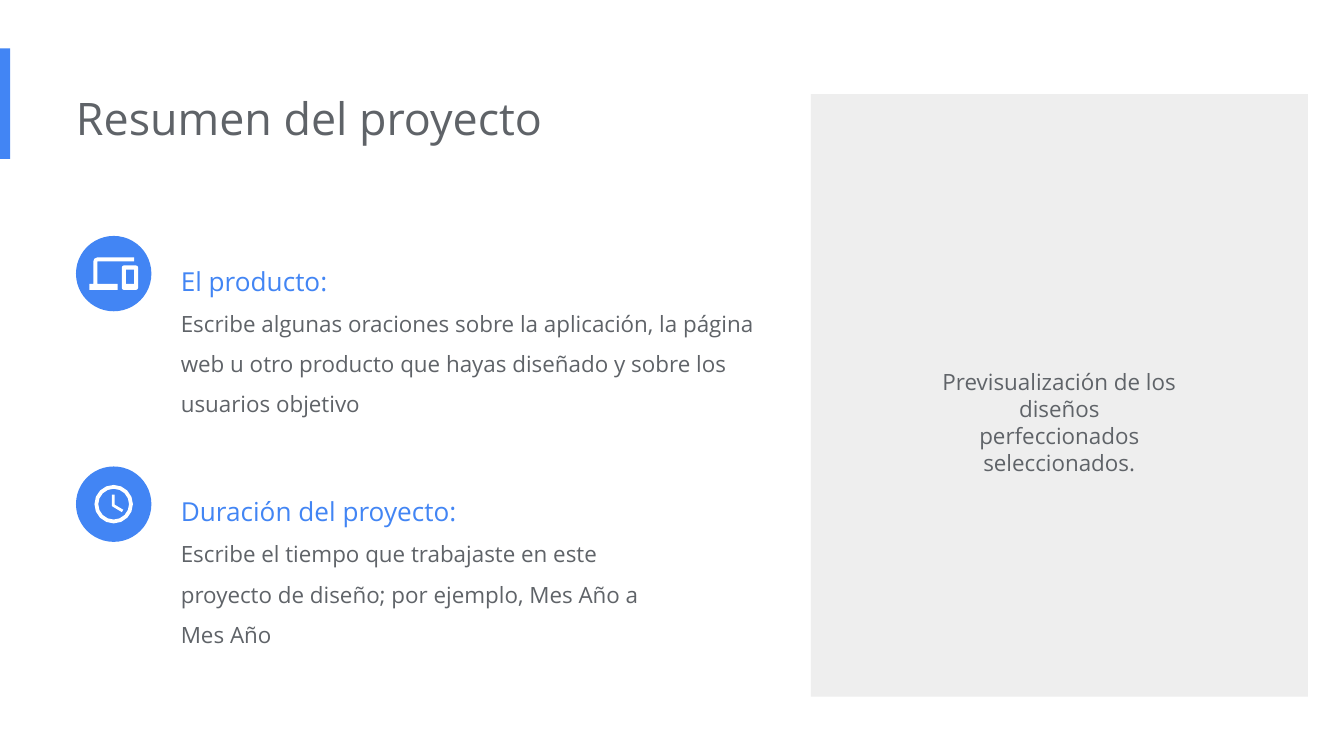
from math import cos, radians, sin

from pptx import Presentation
from pptx.dml.color import RGBColor
from pptx.enum.shapes import MSO_SHAPE
from pptx.enum.text import MSO_ANCHOR, MSO_AUTO_SIZE, PP_ALIGN
from pptx.util import Pt

RECT, OVAL = MSO_SHAPE.RECTANGLE, MSO_SHAPE.OVAL
LEFT, CENTER = PP_ALIGN.LEFT, PP_ALIGN.CENTER
TOP = MSO_ANCHOR.TOP
GROW = MSO_AUTO_SIZE.SHAPE_TO_FIT_TEXT

FONT = "Open Sans"
BLUE, GRAY, PALE, WHITE = "4285F4", "5F6368", "EEEEEE", "FFFFFF"
MARGIN, BADGE, ICON_GRID = 40.7, 40.4, 24


def color(fmt, value):
    """Set a colour format to a hex string."""
    fmt.rgb = RGBColor.from_string(value)


def paint(sp, fill):
    """Give a shape a plain fill without line or shadow."""
    sp.shadow.inherit = False
    sp.fill.solid()
    color(sp.fill.fore_color, fill)
    sp.line.fill.background()


def add_block(s, kind, box, fill):
    """Add a filled preset shape in a box."""
    sp = s.shapes.add_shape(kind, *map(Pt, box))
    paint(sp, fill)


def write(sp, lines, align=LEFT, inset=0, spacing=None):
    """Write (text, size, colour) lines as paragraphs of a shape."""
    tf = sp.text_frame
    tf.word_wrap, tf.auto_size, tf.vertical_anchor = True, GROW, TOP
    tf.margin_left = Pt(inset)
    tf.margin_top = tf.margin_right = tf.margin_bottom = Pt(7.2)
    for i, (text, size, value) in enumerate(lines):
        p = tf.add_paragraph() if i else tf.paragraphs[0]
        p.alignment = align
        p.space_before = Pt(0)
        if spacing:
            p.line_spacing = spacing
        r = p.add_run()
        r.text = text
        r.font.name, r.font.size = FONT, Pt(size)
        color(r.font.color, value)


def ring(radius, steps=16):
    """Return the points of a circle around the middle of the icon grid."""
    mid = ICON_GRID / 2
    angles = [radians(360 * i / steps) for i in range(steps)]
    return [(mid + radius * cos(a), mid + radius * sin(a)) for a in angles]


def devices_outline():
    """Return the contours of a laptop beside a phone on the icon grid."""
    laptop = [(4, 6), (22, 6), (22, 4), (4, 4), (2.6, 4.6), (2, 6), (2, 17),
              (0, 17), (0, 20), (14, 20), (14, 17), (4, 17)]
    phone = [(23, 8), (17, 8), (16.3, 8.3), (16, 9), (16, 19), (16.3, 19.7),
             (17, 20), (23, 20), (23.7, 19.7), (24, 19), (24, 9), (23.7, 8.3)]
    screen = [(22, 17), (18, 17), (18, 10), (22, 10)]
    return [laptop, phone, screen]


def clock_outline():
    """Return the contours of a clock on the icon grid."""
    hands = [(11, 7), (11, 13), (16.25, 16.15), (17, 14.92), (12.5, 12.25), (12.5, 7)]
    return [ring(10), ring(8), hands]


def add_icon(s, box, contours, unit):
    """Draw white contours centred in a box, with grid units of unit points."""
    left, top, width, height = box
    x0 = left + (width - ICON_GRID * unit) / 2
    y0 = top + (height - ICON_GRID * unit) / 2
    paths = [[(Pt(x0 + x * unit), Pt(y0 + y * unit)) for x, y in c] for c in contours]
    fb = s.shapes.build_freeform(*paths[0][0])
    for i, points in enumerate(paths):
        if i:
            fb.move_to(*points[0])
        fb.add_line_segments(points[1:], close=True)
    paint(fb.convert_to_shape(), WHITE)


def add_topic(s, box, contours, unit, heading, body):
    """Place a round icon badge with a heading and text to its right."""
    left, top, width, height = box
    badge = (left, top, BADGE, BADGE)
    add_block(s, OVAL, badge, BLUE)
    add_icon(s, badge, contours, unit)
    indent = 56.2
    sp = s.shapes.add_textbox(Pt(left + indent), Pt(top), Pt(width - indent), Pt(height))
    write(sp, [(heading, 14, BLUE), (body, 12, GRAY)], spacing=1.5)


def add_heading(s, box, text):
    """Place the slide title and the accent bar at the slide edge."""
    left, top, width, height = box
    add_block(s, RECT, (0, top - 15.3, 5.5, 59.2), BLUE)
    sp = s.shapes.title
    sp.left, sp.top, sp.width, sp.height = map(Pt, (left, top, width, height))
    write(sp, [(text, 24, GRAY)])


def add_preview(s, box, text):
    """Place the preview panel with its centred caption."""
    left, top, width, height = box
    add_block(s, RECT, box, PALE)
    w = 142.6
    sp = s.shapes.add_textbox(Pt(left + (width - w) / 2), Pt(top + 139.7), Pt(w), Pt(44))
    write(sp, [(text, 12, GRAY)], align=CENTER, inset=7.2)


def main():
    """Build and save the project summary slide."""
    prs = Presentation()
    prs.slide_width, prs.slide_height = Pt(720), Pt(405)
    s = prs.slides.add_slide(prs.slide_layouts[5])
    add_heading(s, (MARGIN, 41.3, 484.6, 44), "Resumen del proyecto")
    for top, width, contours, unit, heading, body in (
        (126.4, 378, devices_outline(), 1.09, "El producto:",
         "Escribe algunas oraciones sobre la aplicación, la página web u otro "
         "producto que hayas diseñado y sobre los usuarios objetivo"),
        (249.9, 327.6, clock_outline(), 1.03, "Duración del proyecto:",
         "Escribe el tiempo que trabajaste en este proyecto de diseño; "
         "por ejemplo, Mes Año a Mes Año"),
    ):
        add_topic(s, (MARGIN, top, width, 76.3), contours, unit, heading, body)
    add_preview(s, (434.4, 50.4, 266.2, 322.8),
                "Previsualización de los diseños perfeccionados seleccionados.")
    prs.save("out.pptx")


if __name__ == "__main__":
    main()
